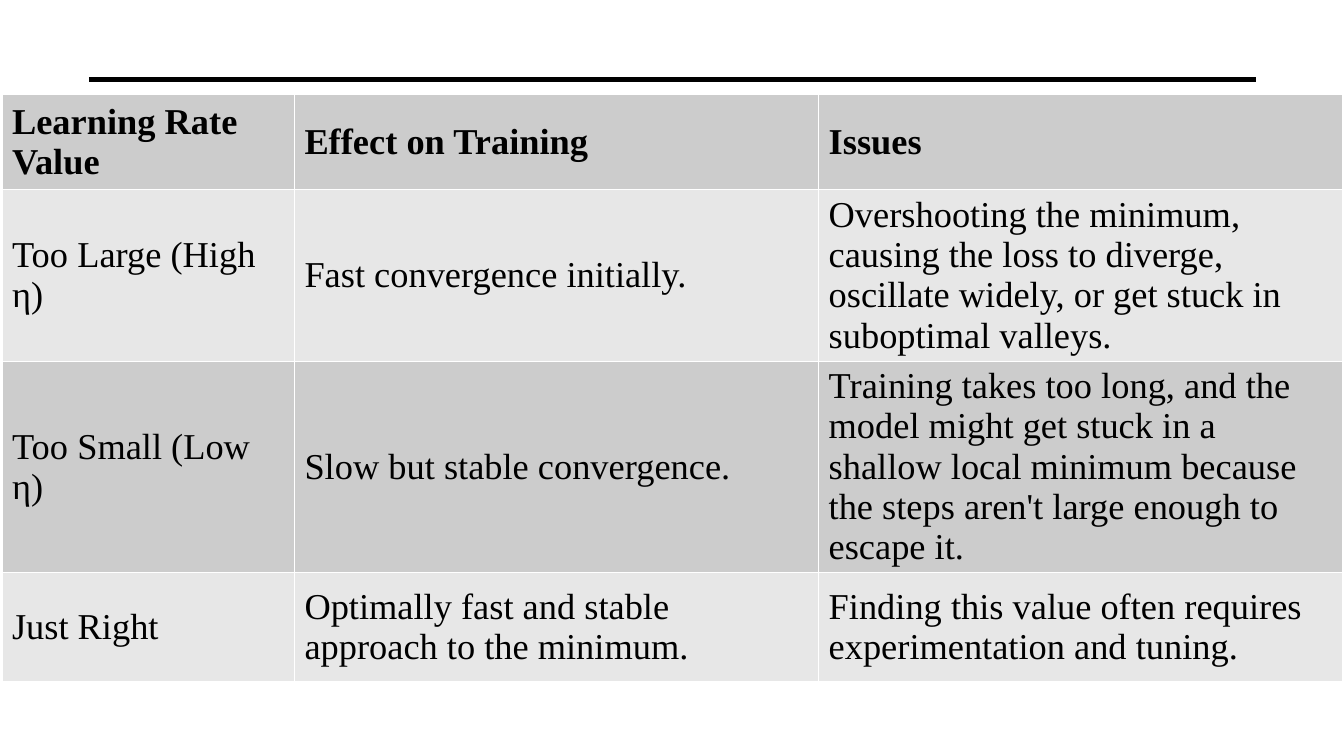
from dataclasses import dataclass

import lxml.etree
import pptx
import pptx.dml.color
import pptx.enum.shapes
import pptx.enum.text
import pptx.oxml.ns
import pptx.util

Cm = pptx.util.Cm


@dataclass(frozen=True)
class Theme:
    font: str = "Times New Roman"
    text_size: float = 26
    rule_width: float = 3.5
    border_width: float = 1
    ink: str = "000000"
    border: str = "FFFFFF"
    bands: tuple = ("CCCCCC", "E7E7E7")


THEME = Theme()

COLUMN_WIDTHS = (7.37, 13.21, 13.21)
ROW_HEIGHTS = (2.39, 4.32, 5.33, 2.74)
LEARNING_RATES = (
    ("Learning Rate Value", "Effect on Training", "Issues"),
    (
        "Too Large (High η)",
        "Fast convergence initially.",
        "Overshooting the minimum, causing the loss to diverge, "
        "oscillate widely, or get stuck in suboptimal valleys.",
    ),
    (
        "Too Small (Low η)",
        "Slow but stable convergence.",
        "Training takes too long, and the model might get stuck in a shallow "
        "local minimum because the steps aren't large enough to escape it.",
    ),
    (
        "Just Right",
        "Optimally fast and stable approach to the minimum.",
        "Finding this value often requires experimentation and tuning.",
    ),
)


def rgb(value):
    return pptx.dml.color.RGBColor.from_string(value)


def add_child(parent, tag, **attributes):
    return lxml.etree.SubElement(parent, pptx.oxml.ns.qn(tag), attributes)


def write_text(frame, text, *, size=THEME.text_size, color=THEME.ink, bold=False):
    paragraph = frame.paragraphs[0]
    run = paragraph.add_run()
    run.text = text
    run.font.name = THEME.font
    run.font.size = pptx.util.Pt(size)
    run.font.bold = bold
    run.font.color.rgb = rgb(color)


def add_rule(slide, left, right, top):
    rule = slide.shapes.add_connector(
        pptx.enum.shapes.MSO_CONNECTOR.STRAIGHT, Cm(left), Cm(top), Cm(right), Cm(top)
    )
    rule.line.color.rgb = rgb(THEME.ink)
    rule.line.width = pptx.util.Pt(THEME.rule_width)
    add_child(rule._element.spPr, "a:effectLst")


def set_borders(cell):
    """Outline all four sides; call before setting the fill, which must follow in the XML."""
    properties = cell._tc.get_or_add_tcPr()
    width = str(pptx.util.Pt(THEME.border_width))
    for side in ("a:lnL", "a:lnR", "a:lnT", "a:lnB"):
        line = add_child(properties, side, w=width)
        fill = add_child(line, "a:solidFill")
        add_child(fill, "a:srgbClr", val=THEME.border)


def add_banded_table(slide, left, top, rows):
    shape = slide.shapes.add_table(
        len(rows), len(COLUMN_WIDTHS), Cm(left), Cm(top),
        Cm(sum(COLUMN_WIDTHS)), Cm(sum(ROW_HEIGHTS)),
    )
    table = shape.table
    for column, width in zip(table.columns, COLUMN_WIDTHS):
        column.width = Cm(width)
    for row, height in zip(table.rows, ROW_HEIGHTS):
        row.height = Cm(height)
    for row_index, texts in enumerate(rows):
        for column_index, text in enumerate(texts):
            cell = table.cell(row_index, column_index)
            set_borders(cell)
            cell.fill.solid()
            cell.fill.fore_color.rgb = rgb(THEME.bands[row_index % 2])
            cell.vertical_anchor = pptx.enum.text.MSO_ANCHOR.MIDDLE
            write_text(cell.text_frame, text, bold=row_index == 0)


def main():
    presentation = pptx.Presentation()
    presentation.slide_width = Cm(33.87)
    presentation.slide_height = Cm(19.05)
    blank_layout = presentation.slide_layouts[6]
    slide = presentation.slides.add_slide(blank_layout)
    add_rule(slide, left=2.24, right=31.65, top=2.01)
    add_banded_table(slide, left=0.05, top=2.39, rows=LEARNING_RATES)
    presentation.save("out.pptx")


if __name__ == "__main__":
    main()
